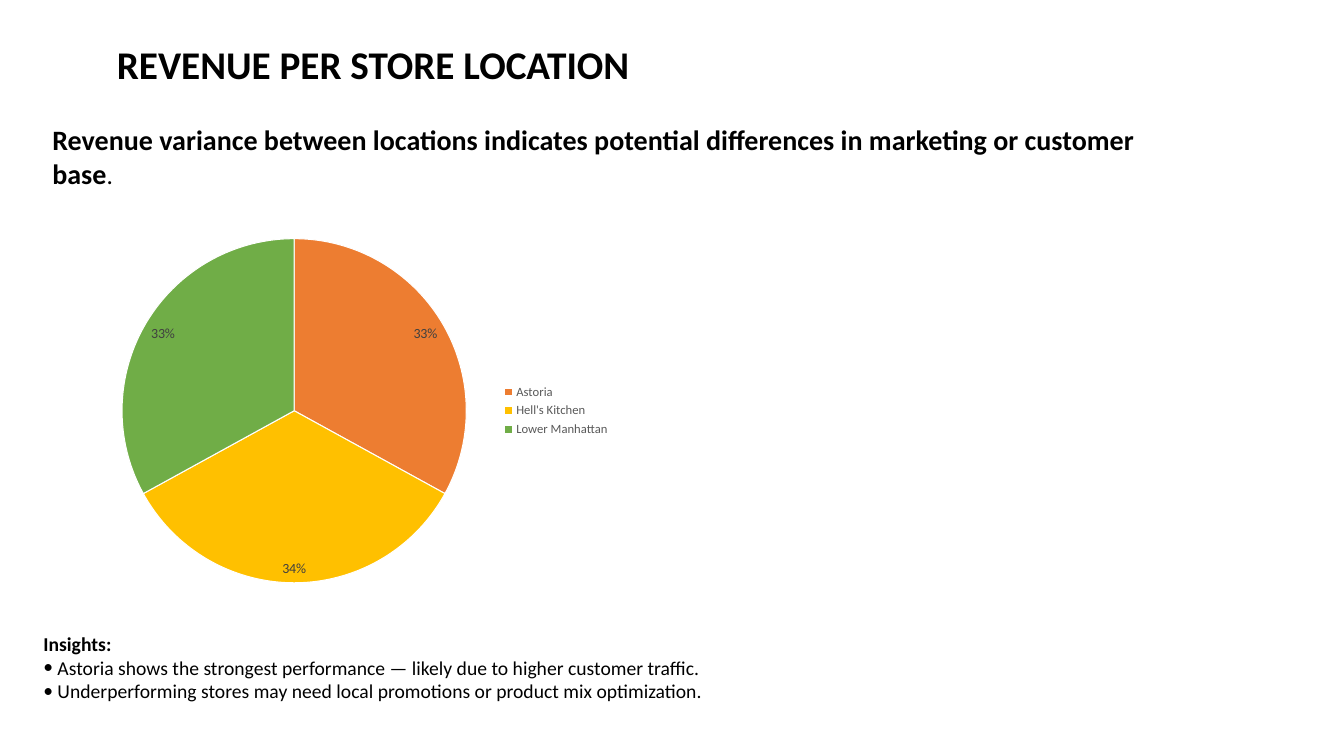
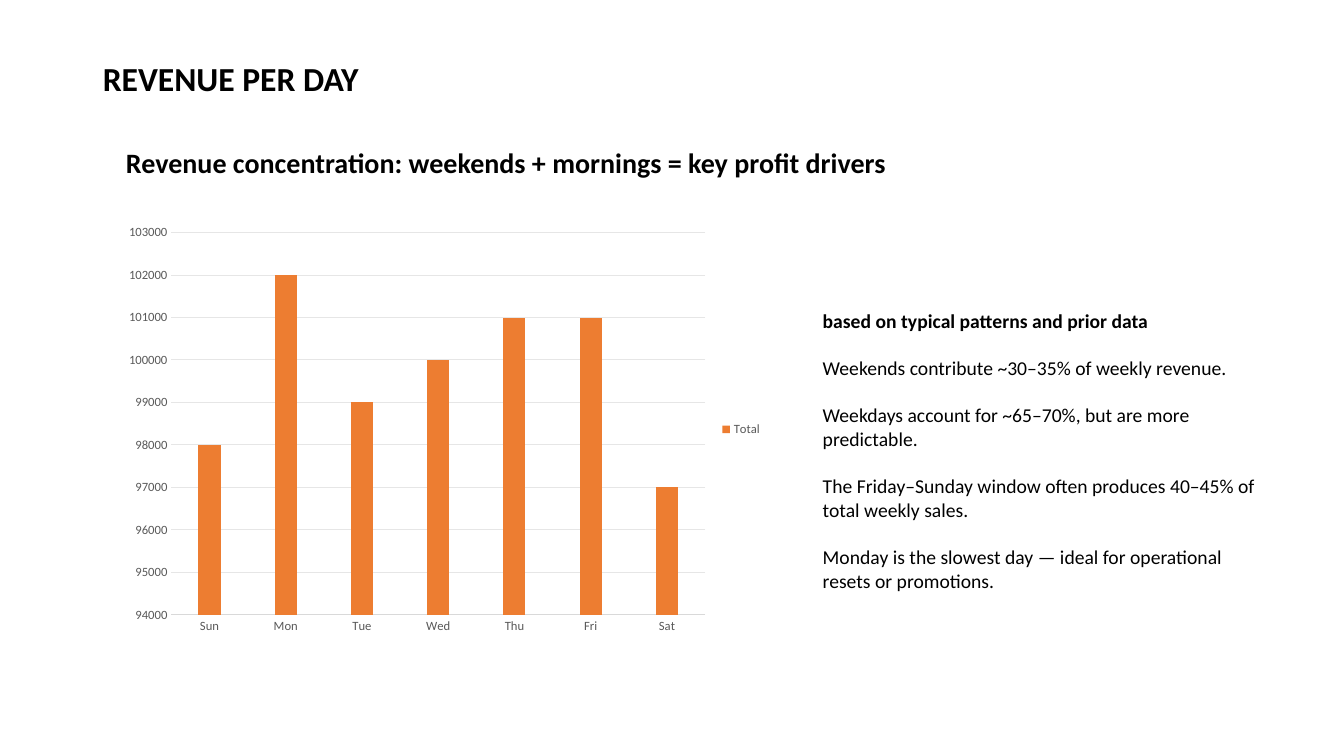
"""Build two revenue slides: a pie by store location and columns by weekday."""
from lxml import etree
from pptx import Presentation
from pptx import util as u
from pptx.chart.data import CategoryChartData
from pptx.dml.color import RGBColor
from pptx.enum import chart as kinds, text
from pptx.oxml.ns import qn

FONT = "Calibri"
COLORS = {
    "text": "000000", "label": "404040", "muted": "595959", "white": "FFFFFF",
    "axis": "D9D9D9", "grid": "E6E6E6",
    "orange": "ED7D31", "yellow": "FFC000", "green": "70AD47",
}


def rgb(name):
    return RGBColor.from_string(COLORS[name])


def set_font(font, size, color="text", bold=False):
    font.name, font.size, font.bold = FONT, u.Pt(size), bold
    font.color.rgb = rgb(color)


def place(shape, box):
    shape.left, shape.top, shape.width, shape.height = map(u.Inches, box)


def set_bullet(para, bulleted):
    props = para._p.get_or_add_pPr()
    indent = u.Inches(0.14) if bulleted else 0
    props.set("marL", str(indent))
    props.set("indent", str(-indent))
    if bulleted:
        etree.SubElement(props, qn("a:buFont"), typeface=FONT)
        etree.SubElement(props, qn("a:buChar"), char="•")
    else:
        etree.SubElement(props, qn("a:buNone"))


def add_page(deck, title, box, size):
    page = deck.slides.add_slide(deck.slide_layouts[1])
    place(page.shapes.title, box)
    frame = page.shapes.title.text_frame
    frame.text = title
    frame.auto_size = text.MSO_AUTO_SIZE.NONE
    frame.vertical_anchor = text.MSO_ANCHOR.MIDDLE
    para = frame.paragraphs[0]
    para.alignment = text.PP_ALIGN.LEFT
    set_font(para.font, size, bold=True)
    return page


def add_message(page, box, message):
    frame = page.shapes.add_textbox(*map(u.Inches, box)).text_frame
    frame.word_wrap = True
    para = frame.paragraphs[0]
    span = para.add_run()
    span.text = message
    set_font(span.font, 20, bold=True)
    return para


def fill_body(page, box, heading, lines, gap=0, bulleted=False):
    body = page.placeholders[1]
    place(body, box)
    frame = body.text_frame
    frame.auto_size = text.MSO_AUTO_SIZE.NONE
    for index, line in enumerate([heading, *lines]):
        para = frame.add_paragraph() if index else frame.paragraphs[0]
        para.text = line
        para.space_before = u.Pt(gap if index else 0)
        set_bullet(para, bulleted and index > 0)
        set_font(para.font, 14, bold=index == 0)


def add_chart(page, kind, box, categories, name, values):
    data = CategoryChartData()
    data.categories = categories
    data.add_series(name, values)
    chart = page.shapes.add_chart(kind, *map(u.Inches, box), data).chart
    chart.has_title = False
    set_font(chart.font, 10)
    chart.has_legend = True
    chart.legend.position = kinds.XL_LEGEND_POSITION.RIGHT
    chart.legend.include_in_layout = False
    set_font(chart.legend.font, 9, "muted")
    return chart


def add_location_pie(page, box):
    chart = add_chart(page, kinds.XL_CHART_TYPE.PIE, box,
                      ["Astoria", "Hell's Kitchen", "Lower Manhattan"],
                      "Series 1", [33, 34, 33])
    plot = chart.plots[0]
    plot.vary_by_categories = True
    for index, color in enumerate(["orange", "yellow", "green"]):
        slice_format = plot.series[0].points[index].format
        slice_format.fill.solid()
        slice_format.fill.fore_color.rgb = rgb(color)
        slice_format.line.color.rgb = rgb("white")
        slice_format.line.width = u.Pt(0.75)
    labels = plot.series[0].data_labels
    labels.show_percentage, labels.show_value = True, False
    labels.number_format, labels.number_format_is_linked = "0%", False
    labels.position = kinds.XL_LABEL_POSITION.INSIDE_END
    set_font(labels.font, 10, "label")


def add_day_columns(page, box):
    chart = add_chart(page, kinds.XL_CHART_TYPE.COLUMN_CLUSTERED, box,
                      ["Sun", "Mon", "Tue", "Wed", "Thu", "Fri", "Sat"], "Total",
                      [98000, 102000, 99000, 100000, 101000, 101000, 97000])
    plot = chart.plots[0]
    plot.vary_by_categories = False
    plot.gap_width, plot.overlap = 246, -28
    fill = plot.series[0].format.fill
    fill.solid()
    fill.fore_color.rgb = rgb("orange")
    days, revenue = chart.category_axis, chart.value_axis
    for axis in (days, revenue):
        axis.major_tick_mark = axis.minor_tick_mark = kinds.XL_TICK_MARK.NONE
        set_font(axis.tick_labels.font, 9, "muted")
    revenue.minimum_scale, revenue.maximum_scale = 94000, 103000
    revenue.major_unit = 1000
    revenue.format.line.fill.background()
    for line, color in ((days.format.line, "axis"),
                        (revenue.major_gridlines.format.line, "grid")):
        line.color.rgb = rgb(color)
        line.width = u.Pt(0.75)


def build_location_page(deck):
    page = add_page(deck, "REVENUE PER STORE LOCATION", (1.06, 0.35, 5.45, 0.57), 28)
    para = add_message(
        page, (0.42, 1.17, 11.59, 0.6),
        "Revenue variance between locations indicates potential differences"
        " in marketing or customer base")
    span = para.add_run()
    span.text = "."
    set_font(span.font, 18)
    add_location_pie(page, (0.87, 2.23, 5.28, 3.69))
    fill_body(page, (0.33, 6.22, 12.43, 1.1), "Insights:", [
        "Astoria shows the strongest performance — likely due to higher customer traffic.",
        "Underperforming stores may need local promotions or product mix optimization.",
    ], bulleted=True)


def build_day_page(deck):
    page = add_page(deck, "REVENUE PER DAY", (0.92, 0.46, 5.89, 0.63), 24)
    add_message(page, (1.15, 1.39, 8.08, 0.76),
                "Revenue concentration: weekends + mornings = key profit drivers")
    add_day_columns(page, (1.15, 2.15, 6.51, 4.22))
    fill_body(page, (8.06, 3.01, 4.5, 3.97), "based on typical patterns and prior data", [
        "Weekends contribute ~30–35% of weekly revenue.",
        "Weekdays account for ~65–70%, but are more predictable.",
        "The Friday–Sunday window often produces 40–45% of total weekly sales.",
        "Monday is the slowest day — ideal for operational resets or promotions.",
    ], gap=17)


def main():
    deck = Presentation()
    deck.slide_width, deck.slide_height = u.Inches(13.33), u.Inches(7.5)
    build_location_page(deck)
    build_day_page(deck)
    deck.save("out.pptx")


if __name__ == "__main__":
    main()
